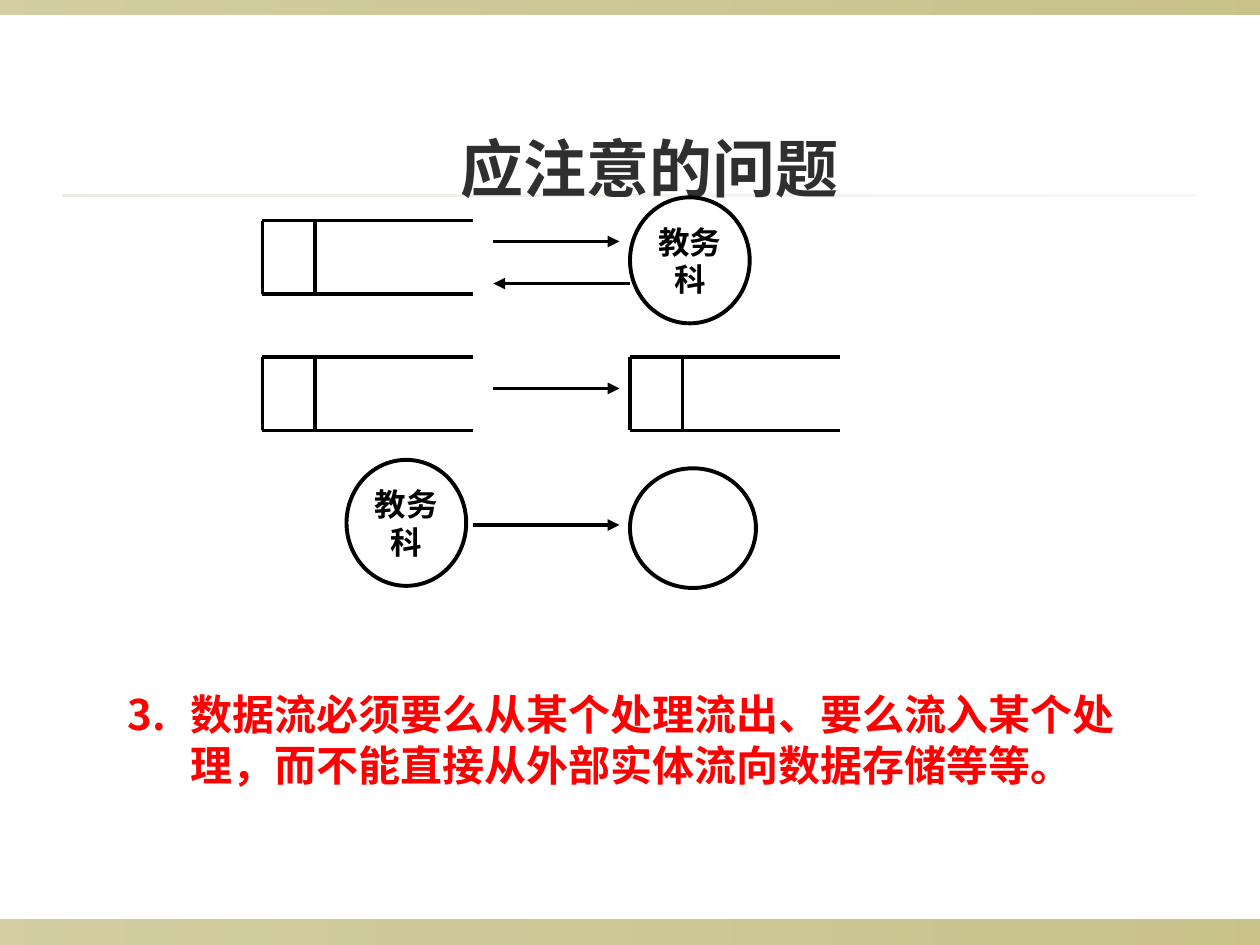
from dataclasses import dataclass

from lxml import etree
from pptx import Presentation
from pptx.dml.color import RGBColor
from pptx.enum.shapes import MSO_CONNECTOR, MSO_SHAPE
from pptx.enum.text import MSO_ANCHOR, PP_ALIGN
from pptx.oxml.ns import qn
from pptx.util import Inches, Pt

PX = Inches(1) // 120
RECT, CIRCLE = MSO_SHAPE.RECTANGLE, MSO_SHAPE.FLOWCHART_CONNECTOR
STRAIGHT = MSO_CONNECTOR.STRAIGHT
CENTER, LEFT = PP_ALIGN.CENTER, PP_ALIGN.LEFT
TOP, MIDDLE = MSO_ANCHOR.TOP, MSO_ANCHOR.MIDDLE


@dataclass(frozen=True)
class Theme:
    bar: str = "918415"
    rule: str = "DCD9CC"
    title: str = "2F2F2F"
    ink: str = "000000"
    note: str = "FF0000"
    title_font: str = "Cabin"
    label_font: str = "Times New Roman"
    cjk_font: str = "Noto Sans CJK SC"
    title_size: int = 36
    note_size: int = 24
    label_size: int = 18
    stroke: float = 2.25


THEME = Theme()


def emu(*lengths):
    return [length * PX for length in lengths]


def add_xml(parent, tag, **attributes):
    return etree.SubElement(parent, qn(tag), attributes)


def write(tf, text, font, size, color, align=CENTER, anchor=MIDDLE):
    tf.word_wrap = True
    tf.vertical_anchor = anchor
    p = tf.paragraphs[0]
    p.text = text
    p.alignment = align
    p.font.size = Pt(size)
    p.font.bold = True
    p.font.color.rgb = RGBColor.from_string(color)
    p.font.name = font
    add_xml(p.font._element, "a:ea", typeface=THEME.cjk_font)


def add_band(slide, box, color, opacities):
    """Horizontal strip whose opacity (percent) changes from left to right."""
    sp = slide.shapes.add_shape(RECT, *emu(*box))
    sp.shadow.inherit = False
    sp.line.fill.background()
    sp.fill.gradient()
    sp.fill.gradient_angle = 0
    for stop, position in zip(sp.fill.gradient_stops, (0, 1)):
        stop.color.rgb = RGBColor.from_string(color)
        stop.position = position
    for clr, opacity in zip(sp._element.iter(qn("a:srgbClr")), opacities):
        add_xml(clr, "a:alpha", val=str(opacity * 1000))


def add_line(slide, x1, y1, x2, y2, arrow=False):
    line = slide.shapes.add_connector(STRAIGHT, *emu(x1, y1, x2, y2))
    line.line.color.rgb = RGBColor.from_string(THEME.ink)
    line.line.width = Pt(THEME.stroke)
    if arrow:
        add_xml(line.line._get_or_add_ln(), "a:tailEnd", type="triangle")
    add_xml(line._element.spPr, "a:effectLst")


def add_data_store(slide, x, y, w=200, h=70, divider=50):
    """Data store symbol: open on the right, with an id cell on the left."""
    for dy in (0, h):
        add_line(slide, x, y + dy, x + w, y + dy)
    for dx in (0, divider):
        add_line(slide, x + dx, y, x + dx, y + h)


def add_circle(slide, box, label=""):
    sp = slide.shapes.add_shape(CIRCLE, *emu(*box))
    sp.shadow.inherit = False
    sp.fill.background()
    sp.line.color.rgb = RGBColor.from_string(THEME.ink)
    sp.line.width = Pt(THEME.stroke)
    if label:
        tf = sp.text_frame
        tf.margin_left = tf.margin_right = 0
        write(tf, label, THEME.label_font, THEME.label_size, THEME.ink)


def add_title(slide, box):
    tf = slide.shapes.add_textbox(*emu(*box)).text_frame
    write(tf, "应注意的问题", THEME.title_font, THEME.title_size, THEME.title)


def add_note(slide, box, indent=60):
    tf = slide.shapes.add_textbox(*emu(*box)).text_frame
    pPr = tf.paragraphs[0]._p.get_or_add_pPr()
    pPr.set("marL", str(indent * PX))
    pPr.set("indent", str(-indent * PX))
    add_xml(add_xml(pPr, "a:buClr"), "a:srgbClr", val=THEME.note)
    add_xml(pPr, "a:buFont", typeface=THEME.cjk_font)
    add_xml(pPr, "a:buAutoNum", type="arabicPeriod", startAt="3")
    write(tf, "数据流必须要么从某个处理流出、要么流入某个处理，"
          "而不能直接从外部实体流向数据存储等等。",
          THEME.cjk_font, THEME.note_size, THEME.note, LEFT, TOP)


def add_flow_examples(slide, x, y):
    """Three rows of wrong data flows, with their top left corner at x, y."""
    right = x + 350
    entity = "教务科"
    add_data_store(slide, x, y)
    add_circle(slide, (right, y - 22, 114, 120), entity)
    add_data_store(slide, x, y + 130)
    add_data_store(slide, right, y + 130)
    add_circle(slide, (x + 80, y + 228, 114, 120), entity)
    add_circle(slide, (right, y + 236, 120, 114))
    for start, end, dy in ((220, 340, 20), (350, 220, 60),
                           (220, 340, 160), (200, 340, 290)):
        add_line(slide, x + start, y + dy, x + end, y + dy, arrow=True)


def main():
    prs = Presentation()
    prs.slide_width, prs.slide_height = emu(1200, 900)
    slide = prs.slides.add_slide(prs.slide_layouts[6])
    add_band(slide, (0, 876, 1200, 24), THEME.bar, (40, 50))
    add_band(slide, (0, 0, 1200, 14), THEME.bar, (40, 50))
    add_band(slide, (60, 185, 1080, 2), THEME.rule, (50, 20))
    add_note(slide, (110, 650, 990, 108))
    add_title(slide, (142, 88, 954, 142))
    add_flow_examples(slide, 250, 210)
    prs.save("out.pptx")


if __name__ == "__main__":
    main()
